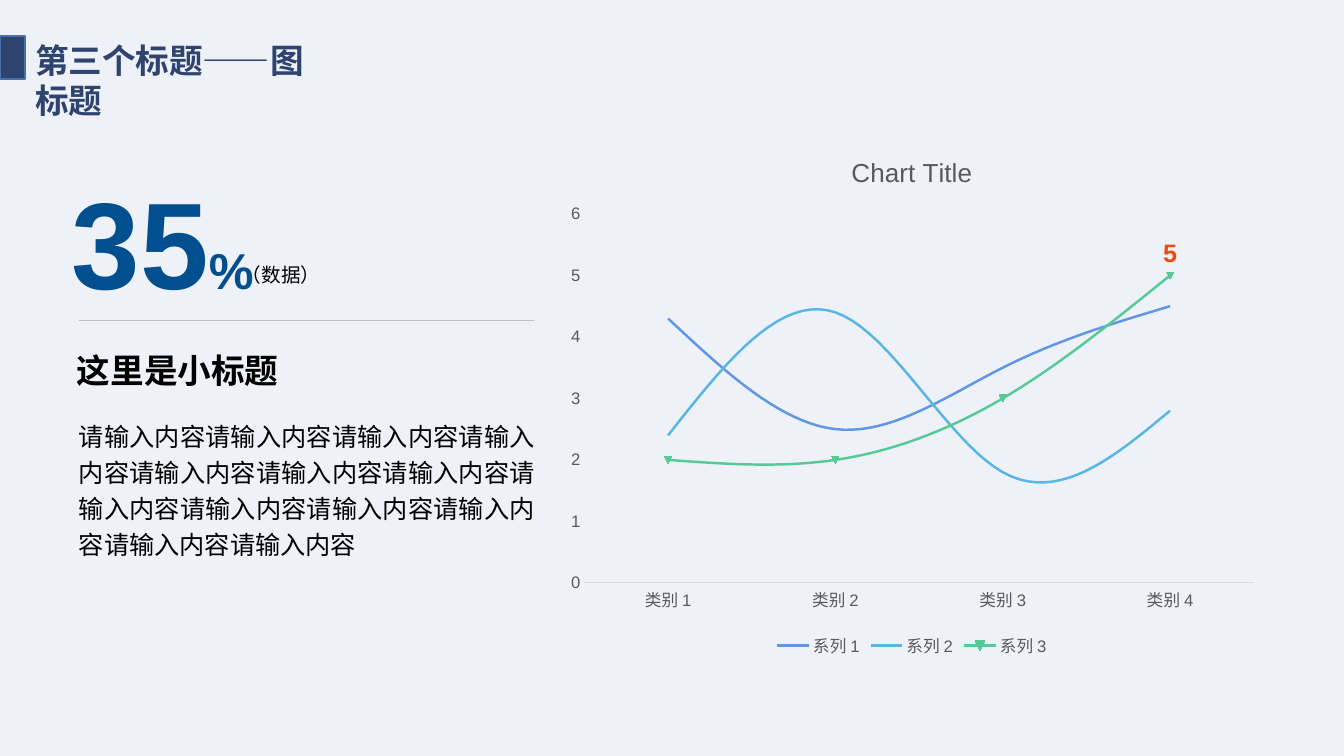
from lxml.etree import SubElement
from pptx import Presentation
from pptx.chart.data import CategoryChartData
from pptx.dml.color import RGBColor
from pptx.enum.chart import XL_CHART_TYPE, XL_LABEL_POSITION, XL_LEGEND_POSITION, XL_MARKER_STYLE, XL_TICK_MARK
from pptx.enum.shapes import MSO_CONNECTOR, MSO_SHAPE
from pptx.enum.text import MSO_AUTO_SIZE, PP_ALIGN
from pptx.oxml import parse_xml
from pptx.oxml.ns import nsdecls, qn
from pptx.util import Emu, Pt

EMU_PER_PX = 914400 / 100.8
CJK_FONT = "Noto Sans CJK SC"
NAVY = "2F436F"
BLUE = "014F8E"
BLACK = "000000"
GREY = "595959"
CATEGORIES = [f"类别 {number}" for number in range(1, 5)]
SERIES = [
    ("系列 1", (4.3, 2.5, 3.5, 4.5), "6096E6"),
    ("系列 2", (2.4, 4.4, 1.8, 2.8), "58B6E5"),
    ("系列 3", (2, 2, 3, 5), "56CA95"),
]


def px(*lengths):
    """Turn pixel lengths into EMU."""
    return [Emu(round(length * EMU_PER_PX)) for length in lengths]


def rgb(code):
    """Turn a hex string into a colour."""
    return RGBColor.from_string(code)


def style_font(font, size, color, bold=False, name="Arial"):
    """Set the size, colour, weight and typeface of a font."""
    font.size = Pt(size)
    font.color.rgb = rgb(color)
    font.bold = bold
    font.name = name


def add_text(slide, box, parts, color=BLACK, bold=False, name="Arial", insets=(10, 10),
             align=PP_ALIGN.LEFT, spacing=None, wrap=True):
    """Add a one-paragraph text box from (text, size) parts."""
    frame = slide.shapes.add_textbox(*px(*box)).text_frame
    frame.margin_left, frame.margin_right = px(*insets)
    frame.margin_top, frame.margin_bottom = px(5, 5)
    frame.word_wrap = wrap
    frame.auto_size = MSO_AUTO_SIZE.SHAPE_TO_FIT_TEXT
    paragraph = frame.paragraphs[0]
    paragraph.alignment = align
    paragraph.line_spacing = spacing
    for text, size in parts:
        run = paragraph.add_run()
        run.text = text
        style_font(run.font, size, color, bold, name)
        SubElement(run.font._element, qn("a:ea"), typeface=CJK_FONT)


def add_title_marker(slide, box):
    """Add the coloured block beside the title."""
    marker = slide.shapes.add_shape(MSO_SHAPE.RECTANGLE, *px(*box))
    marker.shadow.inherit = False
    marker.fill.solid()
    marker.fill.fore_color.rgb = rgb(NAVY)
    marker.line.color.rgb = rgb("476FAA")
    marker.line.width = Pt(1)


def add_divider(slide, left, right, y):
    """Add a thin horizontal rule."""
    divider = slide.shapes.add_connector(MSO_CONNECTOR.STRAIGHT, *px(left, y, right, y))
    divider.line.color.rgb = rgb("BFBFBF")
    divider.line.width = Pt(0.5)
    SubElement(divider._element.spPr, qn("a:effectLst"))


def style_axis(axis):
    """Strip the grid and ticks from an axis and set its labels."""
    axis.has_major_gridlines = False
    axis.major_tick_mark = axis.minor_tick_mark = XL_TICK_MARK.NONE
    style_font(axis.tick_labels.font, 11.9, GREY)


def style_series(series, color):
    """Draw a series as a smooth coloured line."""
    series.smooth = True
    series.format.line.color.rgb = rgb(color)
    series.format.line.width = Pt(1.75)
    series.marker.style = XL_MARKER_STYLE.NONE


def mark_points(series, color):
    """Show automatic markers on a series and label its last point."""
    marker = series.marker
    marker.style = None
    marker.size = 5
    marker.format.fill.solid()
    marker.format.fill.fore_color.rgb = rgb(color)
    marker.format.line.color.rgb = rgb(color)
    label = series.points[len(CATEGORIES) - 1].data_label
    style_font(label.font, 18, "E84C10", True)
    label.position = XL_LABEL_POSITION.ABOVE


def place_plot(chart, **fractions):
    """Fix the inner plot area as fractions of the chart."""
    plot_area = chart._chartSpace.chart.plotArea
    for layout in plot_area.findall(qn("c:layout")):
        plot_area.remove(layout)
    modes = '<c:xMode val="edge"/><c:yMode val="edge"/>'
    sizes = "".join(f'<c:{key} val="{value}"/>' for key, value in fractions.items())
    plot_area.insert(0, parse_xml(
        f'<c:layout {nsdecls("c")}><c:manualLayout><c:layoutTarget val="inner"/>'
        f"{modes}{sizes}</c:manualLayout></c:layout>"))


def add_line_chart(slide, box):
    """Add the smooth line chart with its title and legend."""
    data = CategoryChartData()
    data.categories = CATEGORIES
    for name, values, _ in SERIES:
        data.add_series(name, values)
    chart = slide.shapes.add_chart(XL_CHART_TYPE.LINE_MARKERS, *px(*box), data).chart
    style_font(chart.font, 10, BLACK)
    title = chart.chart_title.text_frame
    title.text = "Chart Title"
    style_font(title.paragraphs[0].runs[0].font, 18.6, GREY)
    chart.chart_title.include_in_layout = False
    chart.has_legend = True
    chart.legend.position = XL_LEGEND_POSITION.BOTTOM
    chart.legend.include_in_layout = False
    style_font(chart.legend.font, 11.9, GREY)
    style_axis(chart.category_axis)
    chart.category_axis.format.line.color.rgb = rgb("D9D9D9")
    chart.category_axis.format.line.width = Pt(0.75)
    style_axis(chart.value_axis)
    chart.value_axis.format.line.fill.background()
    chart.value_axis.minimum_scale = 0
    chart.value_axis.maximum_scale = 6
    chart.value_axis.major_unit = 1
    plot = chart.plots[0]
    plot.vary_by_categories = False
    for series, (_, _, color) in zip(plot.series, SERIES):
        style_series(series, color)
    mark_points(plot.series[-1], SERIES[-1][2])
    place_plot(chart, x=0.04, y=0.15, w=0.94, h=0.7)


def main():
    """Build the slide and save it."""
    deck = Presentation()
    deck.slide_width, deck.slide_height = px(1344, 756)
    slide = deck.slides.add_slide(deck.slide_layouts[6])
    slide.background.fill.solid()
    slide.background.fill.fore_color.rgb = rgb("EEF1F7")
    add_text(slide, (25, 35, 313, 92), [("第三个标题——图标题", 24)], NAVY, True, CJK_FONT)
    add_title_marker(slide, (0, 36, 25, 43))
    add_text(slide, (77, 333, 221, 57), [("这里是小标题", 24)], bold=True, name=CJK_FONT,
             insets=(0, 10), spacing=1.3)
    add_text(slide, (79, 410, 456, 194), [("请输入内容" * 13, 18)], insets=(0, 0),
             align=PP_ALIGN.JUSTIFY, spacing=1.2)
    add_divider(slide, 79, 534, 320)
    add_text(slide, (62, 161, 205, 159), [("35", 88), ("%", 36)], BLUE, True, wrap=False)
    add_text(slide, (232, 258, 302, 34), [("（数据）", 14)], align=PP_ALIGN.JUSTIFY)
    add_line_chart(slide, (556, 135, 712, 527))
    deck.save("out.pptx")


if __name__ == "__main__":
    main()
